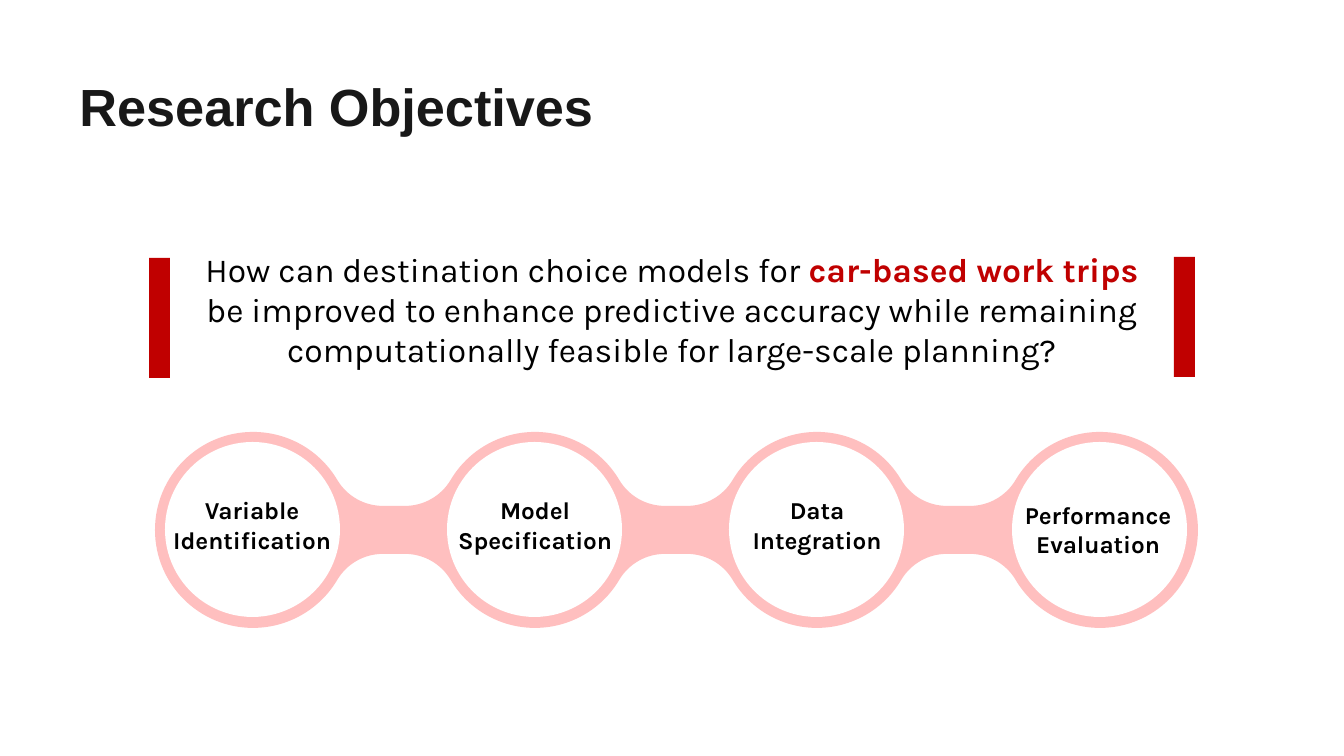
"""Build the Research Objectives slide with a question and a chain of four steps."""
import math
from lxml import etree
from pptx import Presentation
from pptx import util as u
from pptx.dml.color import RGBColor
from pptx.enum import shapes, text
from pptx.oxml.ns import qn

PX = 914400 / 134.4
COLORS = {"title": "181818", "text": "000000", "red": "C00000", "pink": "FFBFBF", "white": "FFFFFF"}


def box(*lengths):
    return [u.Emu(round(v * PX)) for v in lengths]


def add_run(p, words, font, size, color, bold):
    r = p.add_run()
    r.text = words
    r.font.name, r.font.size, r.font.bold = font, u.Pt(size), bold
    r.font.color.rgb = RGBColor.from_string(COLORS[color])


prs = Presentation()
prs.slide_width, prs.slide_height = box(1344, 756)
s = prs.slides.add_slide(prs.slide_layouts[5])

title = s.shapes.title
title.left, title.top, title.width, title.height = box(66, 63, 646, 85)
tf = title.text_frame
tf.word_wrap = True
tf.auto_size = text.MSO_AUTO_SIZE.NONE
tf.vertical_anchor = text.MSO_ANCHOR.MIDDLE
tf.margin_left = tf.margin_right = tf.margin_top = tf.margin_bottom = u.Inches(0.1)
p = tf.paragraphs[0]
p.alignment = text.PP_ALIGN.LEFT
add_run(p, "Research Objectives", "Arial", 28, "title", True)

labels = ["Variable Identification", "Model Specification", "Data Integration", "Performance Evaluation"]
label_corners = [(149, 489), (432, 489), (714, 489), (995, 494)]
left, span, cy = 253, 847, 530
centers = [left + span * i // 3 for i in range(len(labels))]
outer, inner, neck, fillet = 98, 88, 24, 53
rise = neck + fillet
tilt = math.degrees(math.asin(rise / (outer + fillet)))
reach = math.sqrt((outer + fillet) ** 2 - rise ** 2)

arcs = []
for i, cx in enumerate(centers):
    first, last = i == 0, i == len(centers) - 1
    if not first:
        arcs.append((cx - reach, cy - rise, fillet, 270, 360 - tilt))
    arcs.append((cx, cy, outer, 180 if first else 180 - tilt, 90))
    arcs.append((cx, cy, outer, 90, 0 if last else tilt))
    if not last:
        arcs.append((cx + reach, cy - rise, fillet, 180 + tilt, 270))

upper = []
for x, y, radius, start, end in arcs:
    a, b = math.radians(start), math.radians(end)
    k = 4 / 3 * math.tan((b - a) / 4)
    curve = [
        (x + radius * (math.cos(t) - h * math.sin(t)), y - radius * (math.sin(t) + h * math.cos(t)))
        for t, h in [(a, 0), (a, k), (b, -k), (b, 0)]
    ]
    if upper and start == 270:
        neck_start = upper[-1][-1]
        upper.append([neck_start, neck_start, curve[0], curve[0]])
    upper.append(curve)
lower = [[(x, 2 * cy - y) for x, y in reversed(curve)] for curve in reversed(upper)]
curves = [[box(*point) for point in curve] for curve in upper + lower]
builder = s.shapes.build_freeform(*curves[0][0], scale=1.0)
builder.add_line_segments([curve[-1] for curve in curves], close=True)
chain = builder.convert_to_shape()
lines = list(chain.element.iter(qn("a:lnTo")))
for line, curve in zip(lines, curves):
    bezier = etree.Element(qn("a:cubicBezTo"))
    for x, y in curve[1:]:
        etree.SubElement(bezier, qn("a:pt"), x=str(x - chain.left), y=str(y - chain.top))
    line.getparent().replace(line, bezier)
filled = [(chain, "pink")]

for cx in centers:
    sp = s.shapes.add_shape(shapes.MSO_SHAPE.OVAL, *box(cx - inner, cy - inner, 175, 175))
    filled.append((sp, "white"))
for x, y in [(149, 258), (1174, 257)]:
    sp = s.shapes.add_shape(shapes.MSO_SHAPE.RECTANGLE, *box(x, y, 21, 120))
    filled.append((sp, "red"))
for sp, color in filled:
    sp.shadow.inherit = False
    sp.fill.solid()
    sp.fill.fore_color.rgb = RGBColor.from_string(COLORS[color])
    sp.line.fill.background()

question = [
    ("How can destination choice models for ", 18, "text", False),
    ("car-based work trips ", 18, "red", True),
    ("be improved to enhance predictive accuracy while remaining "
     "computationally feasible for large-scale planning?", 18, "text", False),
]
texts = [((170, 242, 1004, 136), question)]
for corner, label in zip(label_corners, labels):
    texts.append(((*corner, 206, 73), [(label, 13, "text", True)]))
for place, runs in texts:
    tf = s.shapes.add_textbox(*box(*place)).text_frame
    tf.word_wrap = True
    tf.auto_size = text.MSO_AUTO_SIZE.SHAPE_TO_FIT_TEXT
    p = tf.paragraphs[0]
    p.alignment = text.PP_ALIGN.CENTER
    for words, size, color, bold in runs:
        add_run(p, words, "Karla", size, color, bold)

prs.save("out.pptx")
